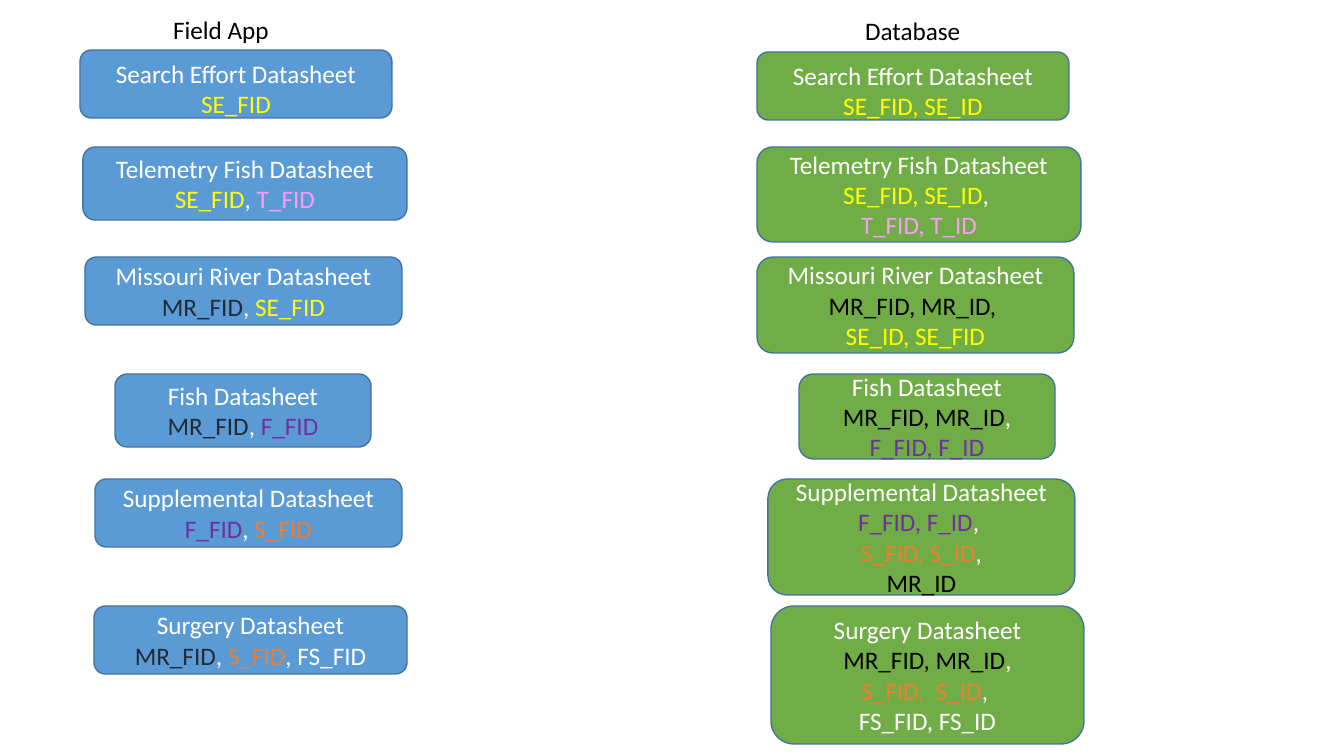
from dataclasses import dataclass, field

import pptx
import pptx.dml.color
import pptx.enum.shapes
import pptx.enum.text
import pptx.util

EMU_PER_PX = 914400 / 100.8
ALIGN = pptx.enum.text.PP_ALIGN
ANCHOR = pptx.enum.text.MSO_ANCHOR
COMPARISON_LAYOUT = 4


@dataclass(frozen=True)
class Theme:
    font: str = "Calibri"
    size: int = 18
    outline_width: int = 1
    outline: str = "43739E"
    heading: str = "000000"
    text: str = "FFFFFF"
    keys: dict[str, str] = field(default_factory=lambda: {
        "SE": "FFFF00", "T": "FF99FF", "F": "7030A0", "S": "ED7D31"})


@dataclass(frozen=True)
class Sheet:
    name: str
    left: int
    top: int
    width: int
    height: int
    key_lines: list[list[str]]
    anchor: ANCHOR = ANCHOR.MIDDLE


@dataclass(frozen=True)
class Column:
    heading: str
    placeholder: int
    left: int
    top: int
    fill: str
    river_key: str
    sheets: list[Sheet]


THEME = Theme()
COLUMNS = [
    Column("Field App", 1, 163, 9, "5B9BD5", "222A35", [
        Sheet("Search Effort", 80, 50, 312, 68, [["SE_FID"]], ANCHOR.TOP),
        Sheet("Telemetry Fish", 83, 147, 324, 73, [["SE_FID", ", ", "T_FID"]]),
        Sheet("Missouri River", 85, 257, 317, 68, [["MR_FID", ", ", "SE_FID"]]),
        Sheet("Fish", 115, 374, 256, 73, [["MR_FID", ", ", "F_FID"]]),
        Sheet("Supplemental", 95, 479, 307, 68, [["F_FID", ", ", "S_FID"]]),
        Sheet("Surgery", 94, 606, 313, 68,
              [["MR_FID", ", ", "S_FID", ", FS_FID"]]),
    ]),
    Column("Database", 3, 855, 10, "70AD47", "000000", [
        Sheet("Search Effort", 757, 52, 312, 68, [["SE_FID, SE_ID"]], ANCHOR.TOP),
        Sheet("Telemetry Fish", 757, 147, 324, 95,
              [["SE_FID, SE_ID", ", "], ["T_FID, T_ID"]]),
        Sheet("Missouri River", 757, 257, 317, 96,
              [["MR_FID, MR_ID, "], ["SE_ID, SE_FID"]]),
        Sheet("Fish", 799, 374, 256, 85,
              [["MR_FID, MR_ID", ", ", "F_FID, F_ID"]]),
        Sheet("Supplemental", 768, 479, 307, 116,
              [["F_FID, F_ID", ", "], ["S_FID, S_ID", ","], ["MR_ID"]]),
        Sheet("Surgery", 771, 606, 313, 138,
              [["MR_FID, MR_ID", ","], ["S_FID,  S_ID", ", "],
               ["FS_FID, FS_ID"]]),
    ]),
]


def px(value: int) -> pptx.util.Emu:
    return pptx.util.Emu(round(value * EMU_PER_PX))


def rgb(color: str) -> pptx.dml.color.RGBColor:
    return pptx.dml.color.RGBColor.from_string(color)


def apply(target, values: dict) -> None:
    for name, value in values.items():
        setattr(target, name, value)


def add_run(p, text: str, color: str) -> None:
    r = p.add_run()
    r.text = text
    apply(r.font, {"name": THEME.font, "bold": False,
                   "size": pptx.util.Pt(THEME.size)})
    r.font.color.rgb = rgb(color)


def draw_heading(slide, column: Column) -> None:
    sp = slide.placeholders[column.placeholder]
    apply(sp, {"left": px(column.left), "top": px(column.top),
               "width": px(117), "height": px(40)})
    tf = sp.text_frame
    apply(tf, {"word_wrap": False, "vertical_anchor": ANCHOR.TOP,
               "auto_size": pptx.enum.text.MSO_AUTO_SIZE.NONE})
    p = tf.paragraphs[0]
    apply(p, {"alignment": ALIGN.LEFT, "space_before": pptx.util.Pt(0)})
    add_run(p, column.heading, THEME.heading)


def draw_sheet(slide, sheet: Sheet, column: Column) -> None:
    sp = slide.shapes.add_shape(
        pptx.enum.shapes.MSO_SHAPE.FLOWCHART_ALTERNATE_PROCESS,
        px(sheet.left), px(sheet.top), px(sheet.width), px(sheet.height))
    sp.shadow.inherit = False
    sp.fill.solid()
    sp.fill.fore_color.rgb = rgb(column.fill)
    sp.line.color.rgb = rgb(THEME.outline)
    sp.line.width = pptx.util.Pt(THEME.outline_width)
    tf = sp.text_frame
    apply(tf, {"word_wrap": True, "vertical_anchor": sheet.anchor})
    colors = THEME.keys | {"MR": column.river_key}
    for i, line in enumerate([[f"{sheet.name} Datasheet"], *sheet.key_lines]):
        p = tf.add_paragraph() if i else tf.paragraphs[0]
        p.alignment = ALIGN.CENTER
        for text in line:
            add_run(p, text, colors.get(text.split("_")[0], THEME.text))


prs = pptx.Presentation()
apply(prs, {"slide_width": px(1344), "slide_height": px(756)})
slide = prs.slides.add_slide(prs.slide_layouts[COMPARISON_LAYOUT])
for column in COLUMNS:
    draw_heading(slide, column)
    for sheet in column.sheets:
        draw_sheet(slide, sheet, column)
for sp in list(slide.placeholders):
    if not sp.text_frame.text:
        sp.element.getparent().remove(sp.element)
prs.save("out.pptx")
